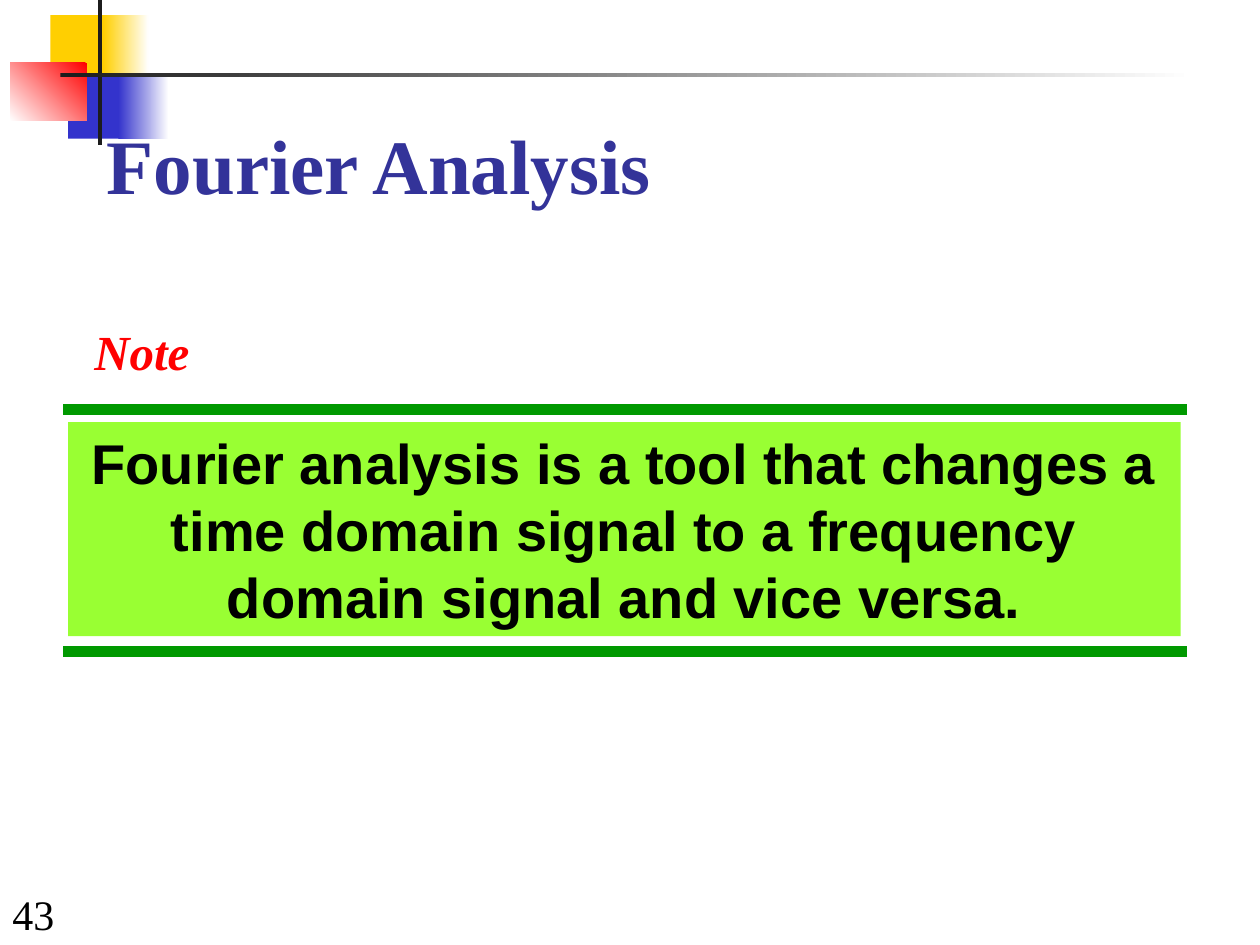
from dataclasses import dataclass

from lxml import etree
from pptx import Presentation
from pptx.dml.color import RGBColor as Rgb
from pptx.enum import shapes, text
from pptx.oxml import ns
from pptx.util import Inches, Pt


@dataclass(frozen=True)
class Theme:
    gold: str = "FFCF01"
    blue: str = "3333CC"
    red: str = "FF0000"
    dark: str = "1C1C1C"
    white: str = "FFFFFF"
    black: str = "000000"
    navy: str = "333399"
    green: str = "009900"
    lime: str = "99FF33"
    serif: str = "Times New Roman"
    sans: str = "Arial"
    title: int = 44
    body: int = 32
    note: int = 28
    num: int = 24
    rule: int = 6


T = Theme()


def add_block(slide, box, color, fade=None):
    """Add a plain block; fade is the angle at which it runs out to white."""
    block = slide.shapes.add_shape(
        shapes.MSO_SHAPE.RECTANGLE, *map(Inches, box))
    block.shadow.inherit = False
    block.line.fill.background()
    if fade is None:
        block.fill.solid()
        block.fill.fore_color.rgb = Rgb.from_string(color)
    else:
        block.fill.gradient()
        block.fill.gradient_angle = fade
        for stop, tone in zip(block.fill.gradient_stops, (color, T.white)):
            stop.color.rgb = Rgb.from_string(tone)
    return block


def add_rule(slide, left, right, y):
    rule = slide.shapes.add_connector(
        shapes.MSO_CONNECTOR.STRAIGHT,
        Inches(left), Inches(y), Inches(right), Inches(y))
    rule.line.color.rgb = Rgb.from_string(T.green)
    rule.line.width = Pt(T.rule)
    etree.SubElement(rule._element.spPr, ns.qn("a:effectLst"))


def set_text(shape, words, face, size, color, bold=True, italic=False,
             align=text.PP_ALIGN.LEFT, anchor=text.MSO_ANCHOR.TOP, wrap=True):
    frame = shape.text_frame
    frame.word_wrap = wrap
    frame.vertical_anchor = anchor
    para = frame.paragraphs[0]
    para.text = words
    para.alignment = align
    font = para.font
    font.name, font.size = face, Pt(size)
    font.bold, font.italic = bold, italic
    font.color.rgb = Rgb.from_string(color)


def add_label(slide, box, words, *style, **more):
    label = slide.shapes.add_textbox(*map(Inches, box))
    set_text(label, words, *style, **more)


def add_motif(slide):
    """Corner squares with the crossing bars."""
    add_block(slide, (0.4, 0.12, 0.48, 0.52), T.gold)
    add_block(slide, (0.82, 0.12, 0.36, 0.52), T.gold, fade=0)
    add_block(slide, (0.54, 0.58, 0.46, 0.52), T.blue)
    add_block(slide, (0.94, 0.58, 0.4, 0.52), T.blue, fade=0)
    add_block(slide, (0.08, 0.5, 0.61, 0.46), T.red, fade=225)
    add_block(slide, (0.78, 0, 0.03, 1.15), T.dark)
    add_block(slide, (0.48, 0.58, 9, 0.03), T.dark, fade=0)


def main():
    deck = Presentation()
    deck.slide_width, deck.slide_height = Inches(10), Inches(7.5)
    slide = deck.slides.add_slide(deck.slide_layouts[6])

    # Slide number and corner motif
    add_label(slide, (0, 7, 2.08, 0.5), "43", T.serif, T.num, T.black,
              bold=False, anchor=text.MSO_ANCHOR.BOTTOM)
    add_motif(slide)

    # Definition between two rules
    for y in (3.25, 5.17):
        add_rule(slide, 0.5, 9.42, y)
    panel = add_block(slide, (0.54, 3.35, 8.83, 1.7), T.lime)
    set_text(panel, "Fourier analysis is a tool that changes a time domain "
             "signal to a frequency domain signal and vice versa.",
             T.sans, T.body, T.black, align=text.PP_ALIGN.CENTER)

    # Note heading and title
    add_label(slide, (0.65, 2.5, 0.96, 0.57), "Note", T.serif, T.note, T.red,
              italic=True, wrap=False)
    add_label(slide, (0.75, 0.67, 8.5, 1.25), "Fourier Analysis",
              T.serif, T.title, T.navy, anchor=text.MSO_ANCHOR.MIDDLE)

    deck.save("out.pptx")


if __name__ == "__main__":
    main()
